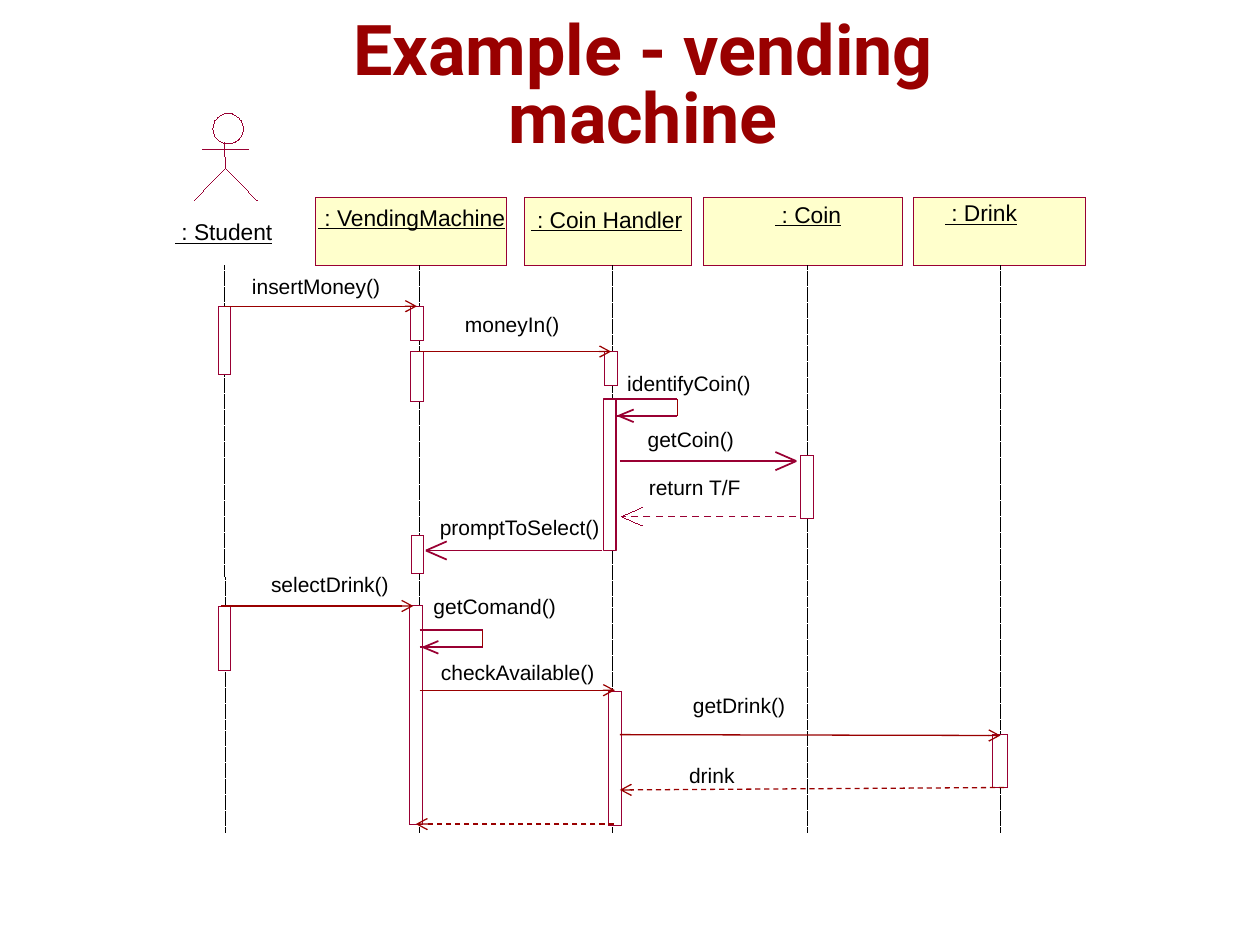
from dataclasses import dataclass
from typing import Optional

from pptx import Presentation
from pptx.dml.color import RGBColor as Rgb
from pptx.enum.dml import MSO_LINE as Dash
from pptx.enum.shapes import MSO_CONNECTOR as Link, MSO_SHAPE as Preset
from pptx.enum.text import MSO_ANCHOR as Anchor, MSO_AUTO_SIZE as Fit, PP_ALIGN as Align
from pptx.oxml.ns import qn
from pptx.util import Pt
from lxml.etree import SubElement

Point = tuple[float, float]


@dataclass(frozen=True)
class Theme:
    title: Rgb = Rgb(0x99, 0x00, 0x00)
    outline: Rgb = Rgb(0x99, 0x00, 0x33)
    ink: Rgb = Rgb(0x00, 0x00, 0x00)
    header: Rgb = Rgb(0xFF, 0xFF, 0xCC)
    bar: Rgb = Rgb(0xFF, 0xFF, 0xFF)
    title_font: str = "Roboto"
    body_font: str = "Arial"
    title_size: float = 40
    name_size: float = 13
    message_size: float = 12
    hairline: float = 0
    thin: float = 0.75
    bold: float = 1


@dataclass(frozen=True)
class Label:
    text: str
    x: float
    y: float
    width: float
    centred: bool = False


@dataclass(frozen=True)
class Participant:
    x: float
    width: float
    axis: float
    label: Label


@dataclass(frozen=True)
class Activation:
    x: float
    y: float
    height: float
    width: float = 7.2
    weight: float = 0


@dataclass(frozen=True)
class Message:
    label: Optional[Label]
    start: Point
    end: Point
    dashed: bool = False


@dataclass(frozen=True)
class WideMessage(Message):
    head_weight: float = 1


@dataclass(frozen=True)
class SelfCall:
    label: Label
    left: float
    right: float
    top: float
    bottom: float


THEME = Theme()
HEADER_TOP, LIFE_TOP, LIFE_END = 113, 151.9, 475.9

PARTICIPANTS = [
    Participant(180, 109.4, 239.8, Label(" : VendingMachine", 181.8, 116.2, 111.6)),
    Participant(299.5, 95.8, 349.9, Label(" : Coin Handler", 303.3, 117.4, 87.8)),
    Participant(401.8, 113.8, 461.5, Label(" : Coin", 407.8, 115.9, 108, True)),
    Participant(522, 98.6, 571.7, Label(" : Drink", 540, 113.8, 41.8)),
]
ACTIVATIONS = [
    Activation(124.6, 175, 38.9), Activation(124.6, 346.3, 36.7),
    Activation(234.7, 175, 19.4), Activation(234.7, 200.9, 28.8),
    Activation(234.9, 306, 21.6), Activation(234, 346.3, 124.6),
    Activation(345.6, 200.9, 19.4), Activation(344.9, 228.2, 86.4, weight=THEME.bold),
    Activation(347.8, 395.3, 76.3), Activation(457.6, 260.2, 36),
    Activation(567.4, 419.8, 30.2, 8.4),
]
MESSAGES = [
    Message(Label("insertMoney()", 144, 156.2, 74.2), (128.2, 175), (238.3, 175)),
    Message(Label("moneyIn()", 265.7, 177.8, 54.7), (238.3, 200.9), (349.2, 200.9)),
    WideMessage(Label("getCoin()", 370.1, 243.6, 49.7), (354.2, 263.5), (455, 263.5)),
    WideMessage(Label("return T/F", 370.8, 271, 53.3), (455, 295.2), (355, 295.2),
                True, THEME.hairline),
    WideMessage(Label("promptToSelect()", 251.3, 294.3, 92.2), (344.2, 314.6), (243.4, 314.6)),
    Message(Label("selectDrink()", 154.9, 326.9, 67.7), (126, 346.3), (236.2, 346.3)),
    Message(Label("checkAvailable()", 252, 377.1, 88.6), (239.8, 394.4), (351.4, 394.4)),
    Message(Label("getDrink()", 396, 396, 53.3), (354.2, 419.8), (571.7, 420.3)),
    Message(Label("drink", 393.8, 435.6, 28), (573.8, 450), (354.2, 451.4), True),
    Message(None, (350.6, 470.9), (237.6, 470.9), True),
]
SELF_CALLS = [
    SelfCall(Label("identifyCoin()", 358.4, 211.7, 71.3), 351.4, 387, 228.2, 237.6),
    SelfCall(Label("getComand()", 247.7, 339.3, 70.6), 239.8, 275.8, 360, 369.9),
]


def set_stroke(line, color: Rgb, weight: float) -> None:
    line.color.rgb = color
    line._get_or_add_ln().set("w", str(int(Pt(weight))))


def add_line(shapes, start: Point, end: Point, color: Rgb, weight: float,
             dash=None, arrow: bool = False) -> None:
    link = shapes.add_connector(Link.STRAIGHT, *map(Pt, start + end))
    set_stroke(link.line, color, weight)
    if dash is not None:
        link.line.dash_style = dash
    if arrow:
        SubElement(link.line._get_or_add_ln(), qn("a:tailEnd"), type="arrow")
    SubElement(link._element.spPr, qn("a:effectLst"))


def style_shape(shape, fill: Optional[Rgb], weight: float) -> None:
    shape.shadow.inherit = False
    if fill is None:
        shape.fill.background()
    else:
        shape.fill.solid()
        shape.fill.fore_color.rgb = fill
    set_stroke(shape.line, THEME.outline, weight)


def add_box(shapes, kind, x: float, y: float, width: float, height: float,
            fill: Optional[Rgb] = None, weight: float = THEME.hairline) -> None:
    style_shape(shapes.add_shape(kind, Pt(x), Pt(y), Pt(width), Pt(height)), fill, weight)


def add_text(shapes, label: Label, height: float, size: float, underline: bool = False):
    frame = shapes.add_textbox(Pt(label.x), Pt(label.y), Pt(label.width), Pt(height)).text_frame
    frame.margin_left = frame.margin_right = frame.margin_top = frame.margin_bottom = 0
    frame.word_wrap = label.centred
    frame.auto_size = Fit.SHAPE_TO_FIT_TEXT
    line = frame.paragraphs[0]
    line.alignment = Align.CENTER if label.centred else Align.LEFT
    if label.centred:
        line.line_spacing = 0.93
    run = line.add_run()
    run.text = label.text
    run.font.name, run.font.size = THEME.body_font, Pt(size)
    run.font.color.rgb = THEME.ink
    if underline:
        run.font.underline = True
    return frame, run


def add_title(shapes) -> None:
    frame, run = add_text(shapes, Label("Example - vending machine", 127.4, 5.8, 480.2, True),
                          90, THEME.title_size)
    frame.auto_size = Fit.NONE
    frame.vertical_anchor = Anchor.MIDDLE
    frame.paragraphs[0].line_spacing = 0.81
    run.font.name, run.font.bold = THEME.title_font, True
    run.font.color.rgb = THEME.title


def add_lifeline(shapes, top_x: float, end_x: float) -> None:
    add_line(shapes, (top_x, LIFE_TOP), (end_x, LIFE_END), THEME.ink, THEME.hairline,
             Dash.SQUARE_DOT)


def add_student(shapes) -> None:
    add_box(shapes, Preset.OVAL, 121.7, 64.8, 17.4, 17.4)
    add_line(shapes, (128.2, 81.4), (128.9, 95.8), THEME.outline, THEME.hairline)
    add_line(shapes, (116, 85.4), (141.8, 85.4), THEME.outline, THEME.hairline)
    legs = shapes.build_freeform(Pt(110.9), Pt(114.5))
    legs.add_line_segments([(Pt(128.9), Pt(95.8)), (Pt(146.9), Pt(114.5))], close=False)
    style_shape(legs.convert_to_shape(), None, THEME.hairline)
    add_text(shapes, Label(" : Student", 100.1, 124.6, 69.1), 19.4, THEME.name_size, True)
    add_lifeline(shapes, 128.2, 128.9)


def add_participant(shapes, part: Participant) -> None:
    add_box(shapes, Preset.RECTANGLE, part.x, HEADER_TOP, part.width, LIFE_TOP - HEADER_TOP,
            THEME.header)
    add_text(shapes, part.label, 15.8, THEME.name_size, True)
    add_lifeline(shapes, part.axis, part.axis)


def add_open_head(shapes, tip: Point, length: float, spread: float, weight: float) -> None:
    for side in (spread, -spread):
        add_line(shapes, tip, (tip[0] + length, tip[1] + side), THEME.outline, weight)


def add_message(shapes, message: Message) -> None:
    wide = isinstance(message, WideMessage)
    add_line(shapes, message.start, message.end, THEME.outline if wide else THEME.title,
             THEME.bold if wide else THEME.thin, Dash.DASH if message.dashed else None, not wide)
    if wide:
        back = 11.9 if message.start[0] > message.end[0] else -11.9
        add_open_head(shapes, message.end, back, 5.2, message.head_weight)
    if message.label:
        add_text(shapes, message.label, 14.4, THEME.message_size)


def add_self_call(shapes, call: SelfCall) -> None:
    for y in (call.top, call.bottom):
        add_line(shapes, (call.left, y), (call.right, y), THEME.outline, THEME.bold)
    add_line(shapes, (call.right, call.top), (call.right, call.bottom), THEME.title, THEME.thin)
    add_open_head(shapes, (call.left + 2.1, call.bottom), 8.6, 3.6, THEME.bold)
    add_text(shapes, call.label, 14.4, THEME.message_size)


def main() -> None:
    deck = Presentation()
    deck.slide_width, deck.slide_height = Pt(720), Pt(540)
    shapes = deck.slides.add_slide(deck.slide_layouts[6]).shapes
    add_title(shapes)
    add_student(shapes)
    for part in PARTICIPANTS:
        add_participant(shapes, part)
    for bar in ACTIVATIONS:
        add_box(shapes, Preset.RECTANGLE, bar.x, bar.y, bar.width, bar.height, THEME.bar, bar.weight)
    for message in MESSAGES:
        add_message(shapes, message)
    for call in SELF_CALLS:
        add_self_call(shapes, call)
    deck.save("out.pptx")


if __name__ == "__main__":
    main()
